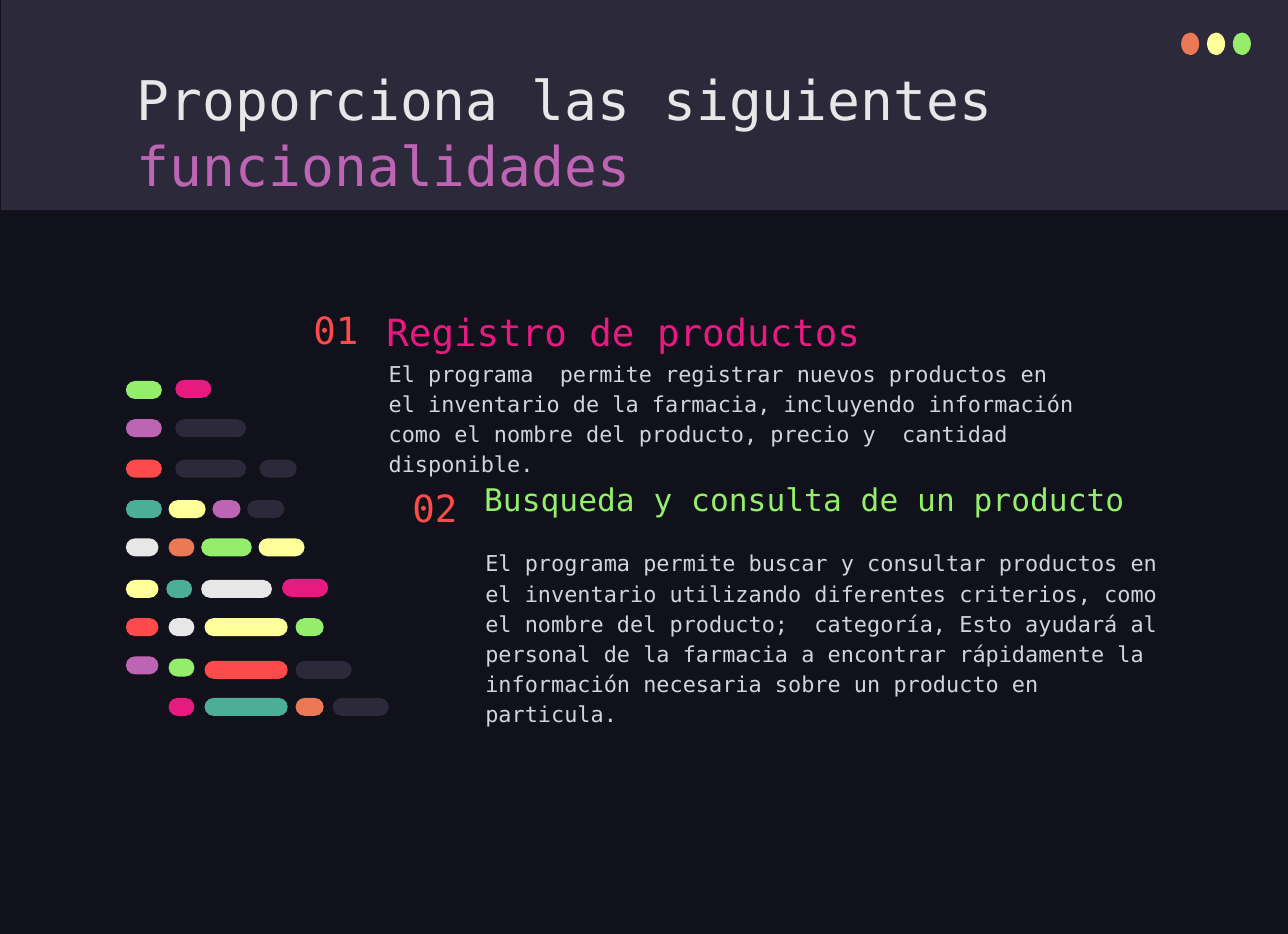
import pptx
import pptx.dml.color
import pptx.enum.shapes
import pptx.enum.text
import pptx.util

Inches = pptx.util.Inches
Color = pptx.dml.color.RGBColor
Shape = pptx.enum.shapes.MSO_SHAPE
Anchor = pptx.enum.text.MSO_ANCHOR

NIGHT = Color(0x10, 0x11, 0x1A)
SLATE = Color(0x2C, 0x29, 0x3A)
ORANGE = Color(0xEC, 0x79, 0x55)
YELLOW = Color(0xFF, 0xFF, 0x99)
GREEN = Color(0x94, 0xEE, 0x6B)
WHITE = Color(0xE7, 0xE7, 0xE7)
PURPLE = Color(0xBD, 0x64, 0xB5)
RED = Color(0xFD, 0x4A, 0x4A)
PINK = Color(0xE8, 0x1A, 0x81)
TEAL = Color(0x4C, 0xAE, 0x97)
GRAY = Color(0xD1, 0xD5, 0xDB)

# Top of each row of code, then left, width and colour of its pills
CODE = {
    3.39: [(1.12, 0.32, GREEN)],
    3.38: [(1.56, 0.32, PINK)],
    3.73: [(1.12, 0.32, PURPLE), (1.56, 0.63, SLATE)],
    4.09: [(1.12, 0.32, RED), (1.56, 0.63, SLATE), (2.31, 0.33, SLATE)],
    4.45: [(1.12, 0.32, TEAL), (1.5, 0.33, YELLOW), (1.89, 0.25, PURPLE),
           (2.2, 0.33, SLATE)],
    4.79: [(1.12, 0.29, WHITE), (1.5, 0.23, ORANGE), (1.79, 0.45, GREEN),
           (2.3, 0.41, YELLOW)],
    5.16: [(1.12, 0.29, YELLOW), (1.48, 0.23, TEAL), (1.79, 0.63, WHITE)],
    5.15: [(2.51, 0.41, PINK)],
    5.5: [(1.12, 0.29, RED), (1.5, 0.23, WHITE), (1.82, 0.74, YELLOW),
          (2.63, 0.25, GREEN)],
    5.84: [(1.12, 0.29, PURPLE)],
    5.86: [(1.5, 0.23, GREEN)],
    5.88: [(1.82, 0.74, RED), (2.63, 0.5, SLATE)],
    6.21: [(1.5, 0.23, PINK), (1.82, 0.74, TEAL), (2.63, 0.25, ORANGE),
           (2.96, 0.5, SLATE)],
}

FIRST = ("El programa  permite registrar nuevos productos en el inventario de "
         "la farmacia, incluyendo información como el nombre del producto, "
         "precio y  cantidad disponible.")
SECOND = ("El programa permite buscar y consultar productos en el inventario "
          "utilizando diferentes criterios, como el nombre del producto;  "
          "categoría, Esto ayudará al personal de la farmacia a encontrar "
          "rápidamente la información necesaria sobre un producto en "
          "particula.")


def write(para, text, size=14, color=GRAY, font="DejaVu Sans Mono"):
    """Add one formatted run to a paragraph."""
    run = para.add_run()
    run.text = text
    run.font.name = font
    run.font.size = pptx.util.Pt(size)
    run.font.color.rgb = color


class Page:
    def __init__(self, slide):
        self.slide = slide
        self.pad = Inches(0.1)
        slide.background.fill.solid()
        slide.background.fill.fore_color.rgb = NIGHT

    def group(self):
        return self.slide.shapes.add_group_shape()

    def shape(self, kind, box, color, group=None):
        home = group or self.slide
        item = home.shapes.add_shape(kind, *map(Inches, box))
        item.shadow.inherit = False
        item.fill.solid()
        item.fill.fore_color.rgb = color
        item.line.fill.background()
        return item

    def pill(self, box, color, group):
        self.shape(Shape.ROUNDED_RECTANGLE, box, color, group).adjustments[0] = 0.5

    def text(self, box, *parts, size=14, anchor=Anchor.TOP, space=1.15):
        """Add a text box; each part is a pair of text and colour."""
        frame = self.slide.shapes.add_textbox(*map(Inches, box)).text_frame
        frame.word_wrap = True
        frame.vertical_anchor = anchor
        frame.margin_left = frame.margin_right = self.pad
        frame.margin_top = frame.margin_bottom = self.pad
        para = frame.paragraphs[0]
        para.line_spacing = space
        for words, color in parts:
            write(para, words, size=size, color=color)


def main():
    deck = pptx.Presentation()
    deck.slide_width = Inches(11.46)
    deck.slide_height = Inches(8.31)
    page = Page(deck.slides.add_slide(deck.slide_layouts[6]))

    page.shape(Shape.RECTANGLE, (0.01, 0, 11.45, 1.87), SLATE)
    dots = page.group()
    for i, color in enumerate((ORANGE, YELLOW, GREEN)):
        page.shape(Shape.OVAL, (10.51 + 0.23 * i, 0.29, 0.16, 0.2), color, dots)

    page.text((1.12, 0.49, 8.43, 0.63), ("Proporciona las siguientes ", WHITE),
              ("funcionalidades", PURPLE), size=35, space=1)
    page.text((3.36, 3.07, 6.33, 0.63), (FIRST, GRAY))
    page.text((4.22, 4.76, 6.2, 0.63), (SECOND, GRAY))
    for left, top, label in ((2.69, 2.72, "01"), (3.57, 4.3, "02")):
        page.text((left, top, 0.66, 0.43), (label, RED), size=24,
                  anchor=Anchor.MIDDLE, space=1)
    page.text((3.34, 2.72, 4.6, 0.53), ("Registro de productos", PINK),
              size=24, anchor=Anchor.BOTTOM)
    page.text((4.21, 4.18, 6.2, 0.53),
              ("Busqueda y consulta de un producto", GREEN),
              size=20, anchor=Anchor.BOTTOM)

    code = page.group()
    for top, pills in CODE.items():
        for left, width, color in pills:
            page.pill((left, top, width, 0.16), color, code)

    deck.save("out.pptx")


if __name__ == "__main__":
    main()
